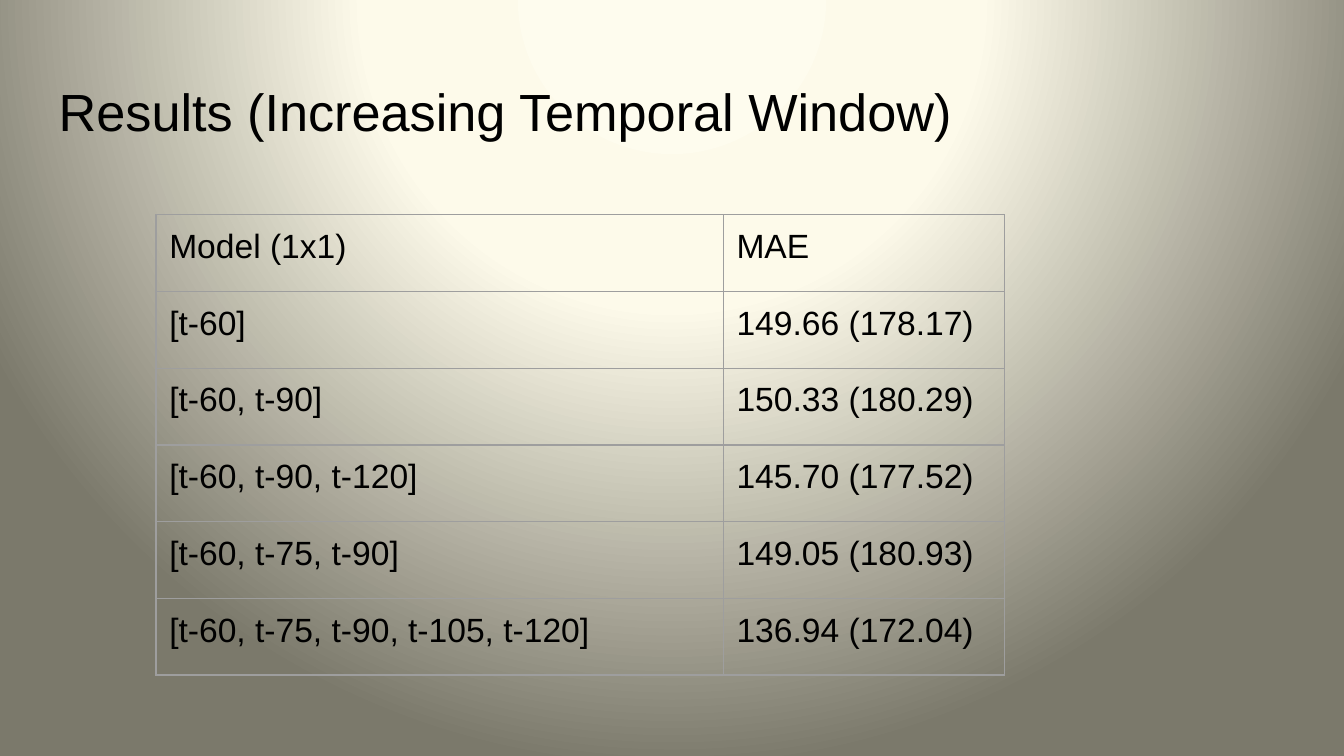
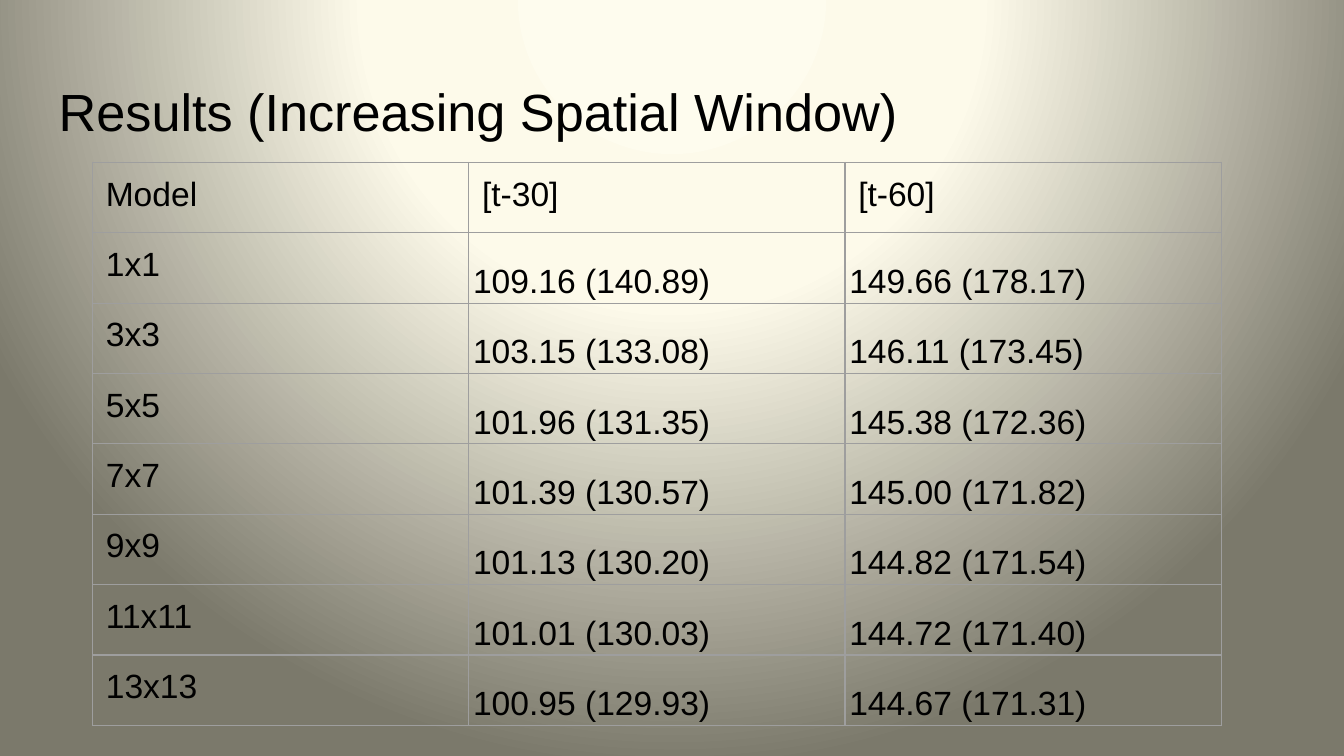
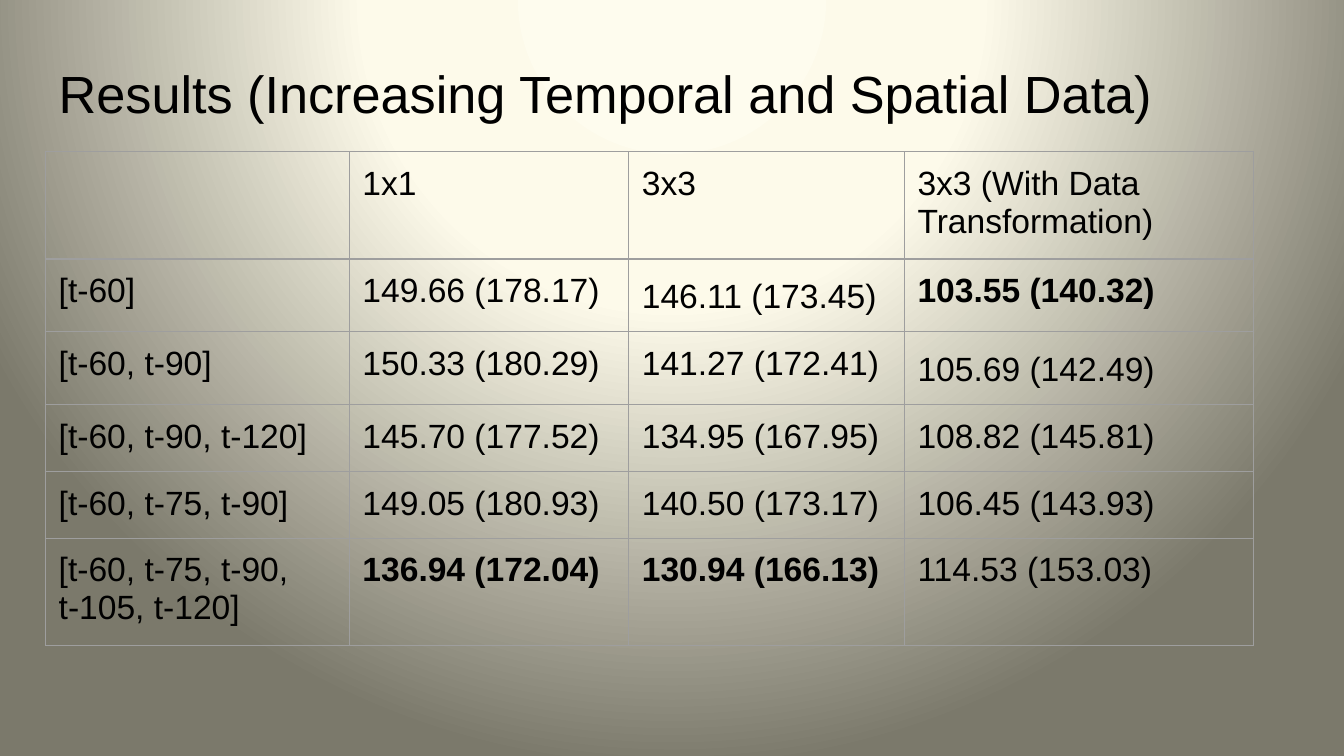
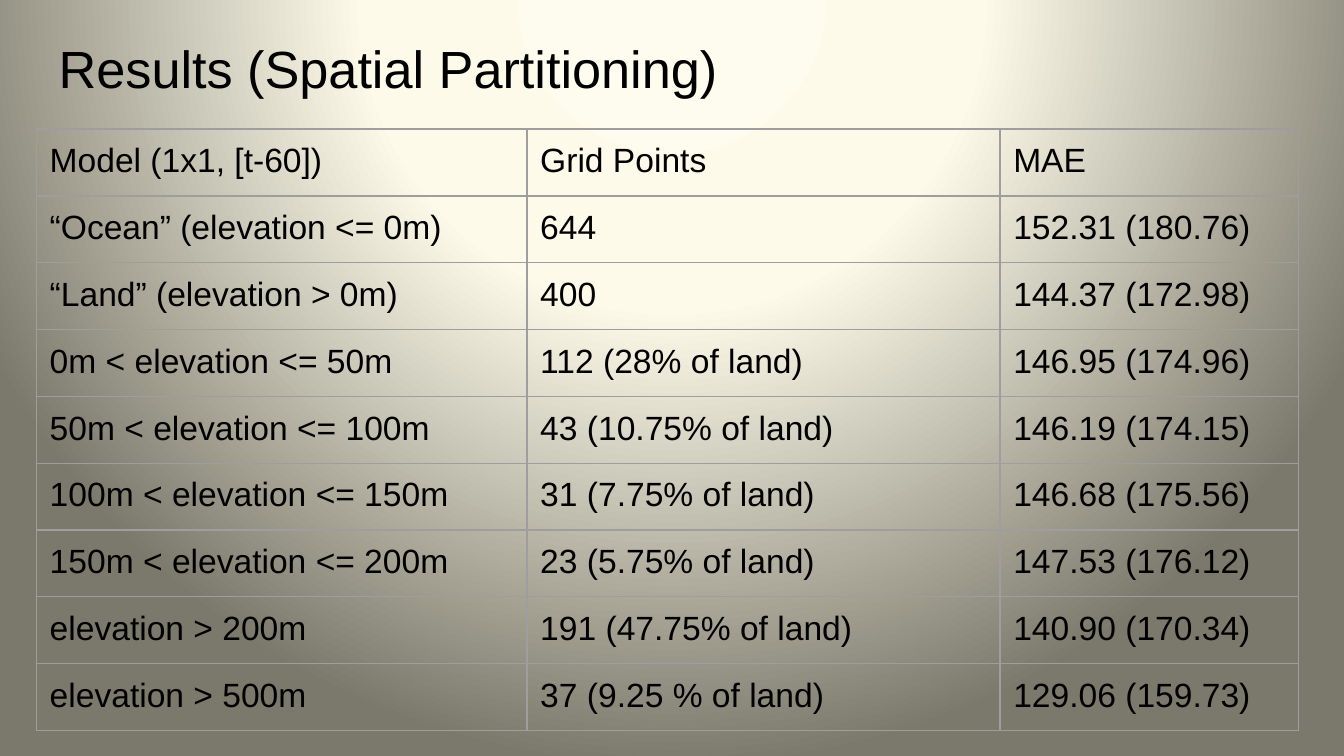
import pptx
import pptx.dml.color
import pptx.enum.text
import pptx.oxml
import pptx.oxml.ns
import pptx.util
from pptx.util import Cm

# Shared style
FONT = "Arial"
INK = "000000"
BORDER = "9E9E9E"
GLOW = [(0, "FEFCEE"), (40, "FDFAEA"), (100, "7B796B")]
INSET = (0.25, 0.25)
TOP = pptx.enum.text.MSO_ANCHOR.TOP
BOTTOM = pptx.enum.text.MSO_ANCHOR.BOTTOM
NS = pptx.oxml.ns.nsdecls("a")

# Cell formats
BOLD = dict(bold=True)
LOOSE = dict(spacing=1.15)
TIGHT = dict(spacing=1.15, anchor=BOTTOM, inset=(0.08, 0.05))


def rgb(value):
    return pptx.dml.color.RGBColor.from_string(value)


def set_margins(box, inset):
    box.margin_left = box.margin_right = Cm(inset[0])
    box.margin_top = box.margin_bottom = Cm(inset[1])


def write(tf, text, size=18, bold=False, color=INK, spacing=None):
    p = tf.paragraphs[0]
    if spacing:
        p.line_spacing = spacing
    p.font.size = pptx.util.Pt(size)
    if text:
        r = p.add_run()
        r.text = text
        r.font.name = FONT
        r.font.size = pptx.util.Pt(size)
        r.font.bold = bold
        r.font.color.rgb = rgb(color)


def set_background(master):
    """Radial glow centred above the slide, inherited by every slide."""
    master.background.fill.solid()
    bg = master.element.find(".//" + pptx.oxml.ns.qn("p:bgPr"))
    stops = "".join(
        f'<a:gs pos="{pos * 1000}"><a:srgbClr val="{color}"/></a:gs>'
        for pos, color in GLOW)
    bg.replace(bg[0], pptx.oxml.parse_xml(
        f'<a:gradFill {NS} rotWithShape="1"><a:gsLst>{stops}</a:gsLst>'
        '<a:path path="circle"><a:fillToRect l="50000" t="-80000" '
        'r="50000" b="180000"/></a:path></a:gradFill>'))


def add_title(s, text, top):
    sp = s.shapes.add_textbox(Cm(0.86), Cm(top), Cm(23.67), Cm(1.6))
    tf = sp.text_frame
    tf.word_wrap = True
    tf.vertical_anchor = TOP
    set_margins(tf, INSET)
    write(tf, text, size=28)


def set_borders(cell):
    tcPr = cell._tc.get_or_add_tcPr()
    for i, side in enumerate("LRTB"):
        tcPr.insert(i, pptx.oxml.parse_xml(
            f'<a:ln{side} {NS} w="9525"><a:solidFill>'
            f'<a:srgbClr val="{BORDER}"/></a:solidFill></a:ln{side}>'))


def fill_cell(cell, text, anchor=TOP, inset=INSET, **fmt):
    cell.fill.background()
    set_borders(cell)
    set_margins(cell, inset)
    cell.vertical_anchor = anchor
    write(cell.text_frame, text, **fmt)


def add_table(s, rows, left, top, widths, row_height, height, formats=None):
    formats = formats or {}
    gf = s.shapes.add_table(len(rows), len(widths), Cm(left), Cm(top),
                            Cm(sum(widths)), Cm(height))
    table = gf.table
    table.first_row = table.horz_banding = False
    for column, width in zip(table.columns, widths):
        column.width = Cm(width)
    for i, texts in enumerate(rows):
        table.rows[i].height = Cm(row_height)
        for j, text in enumerate(texts):
            fill_cell(table.cell(i, j), text, **formats.get((i, j), {}))
    gf.height = Cm(height)


# Content
TEMPORAL = [
    ("Model (1x1)", "MAE"),
    ("[t-60]", "149.66 (178.17)"),
    ("[t-60, t-90]", "150.33 (180.29)"),
    ("[t-60, t-90, t-120]", "145.70 (177.52)"),
    ("[t-60, t-75, t-90]", "149.05 (180.93)"),
    ("[t-60, t-75, t-90, t-105, t-120]", "136.94 (172.04)"),
]
SPATIAL = [
    ("Model", "[t-30]", "[t-60]"),
    ("1x1", "109.16 (140.89)", "149.66 (178.17)"),
    ("3x3", "103.15 (133.08)", "146.11 (173.45)"),
    ("5x5", "101.96 (131.35)", "145.38 (172.36)"),
    ("7x7", "101.39 (130.57)", "145.00 (171.82)"),
    ("9x9", "101.13 (130.20)", "144.82 (171.54)"),
    ("11x11", "101.01 (130.03)", "144.72 (171.40)"),
    ("13x13", "100.95 (129.93)", "144.67 (171.31)"),
]
# The combined table extends the temporal results with two 3x3 columns
COMBINED_3X3 = [
    ("3x3", "3x3 (With Data Transformation)"),
    ("146.11 (173.45)", "103.55 (140.32)"),
    ("141.27 (172.41)", "105.69 (142.49)"),
    ("134.95 (167.95)", "108.82 (145.81)"),
    ("140.50 (173.17)", "106.45 (143.93)"),
    ("130.94 (166.13)", "114.53 (153.03)"),
]
COMBINED = [left + right for left, right in
            zip([("", "1x1")] + TEMPORAL[1:], COMBINED_3X3)]
PARTITIONS = [
    ("Model (1x1, [t-60])", "Grid Points", "MAE"),
    ("“Ocean” (elevation <= 0m)", "644", "152.31 (180.76)"),
    ("“Land” (elevation > 0m)", "400", "144.37 (172.98)"),
    ("0m < elevation <= 50m", "112 (28% of land)", "146.95 (174.96)"),
    ("50m < elevation <= 100m", "43 (10.75% of land)", "146.19 (174.15)"),
    ("100m < elevation <= 150m", "31 (7.75% of land)", "146.68 (175.56)"),
    ("150m < elevation <= 200m", "23 (5.75% of land)", "147.53 (176.12)"),
    ("elevation > 200m", "191 (47.75% of land)", "140.90 (170.34)"),
    ("elevation > 500m", "37 (9.25 % of land)", "129.06 (159.73)"),
]


def main():
    prs = pptx.Presentation()
    prs.slide_width, prs.slide_height = Cm(25.4), Cm(14.29)
    set_background(prs.slide_master)

    def new_slide(title, top):
        s = prs.slides.add_slide(prs.slide_layouts[6])
        add_title(s, title, top)
        return s

    # Temporal window
    s = new_slide("Results (Increasing Temporal Window)", 1.24)
    add_table(s, TEMPORAL, 2.95, 4.06, [10.72, 5.31], 1.45, 8.71)

    # Spatial window
    s = new_slide("Results (Increasing Spatial Window)", 1.24)
    values = {(i, j): TIGHT for i in range(1, len(SPATIAL)) for j in (1, 2)}
    add_table(s, SPATIAL, 1.75, 3.07, [7.11] * 3, 1.33, 10.67, values)

    # Temporal and spatial data, best result of each column in bold
    s = new_slide("Results (Increasing Temporal and Spatial Data)", 0.91)
    add_table(s, COMBINED, 0.86, 2.87, [5.74, 5.28, 5.21, 6.6], 1.07, 9.37,
              {(1, 2): LOOSE, (2, 3): LOOSE,
               (1, 3): BOLD, (5, 1): BOLD, (5, 2): BOLD})

    # Spatial partitioning
    s = new_slide("Results (Spatial Partitioning)", 0.43)
    add_table(s, PARTITIONS, 0.69, 2.44, [9.27, 8.94, 5.64], 1.07, 11.43)

    prs.save("out.pptx")


if __name__ == "__main__":
    main()
